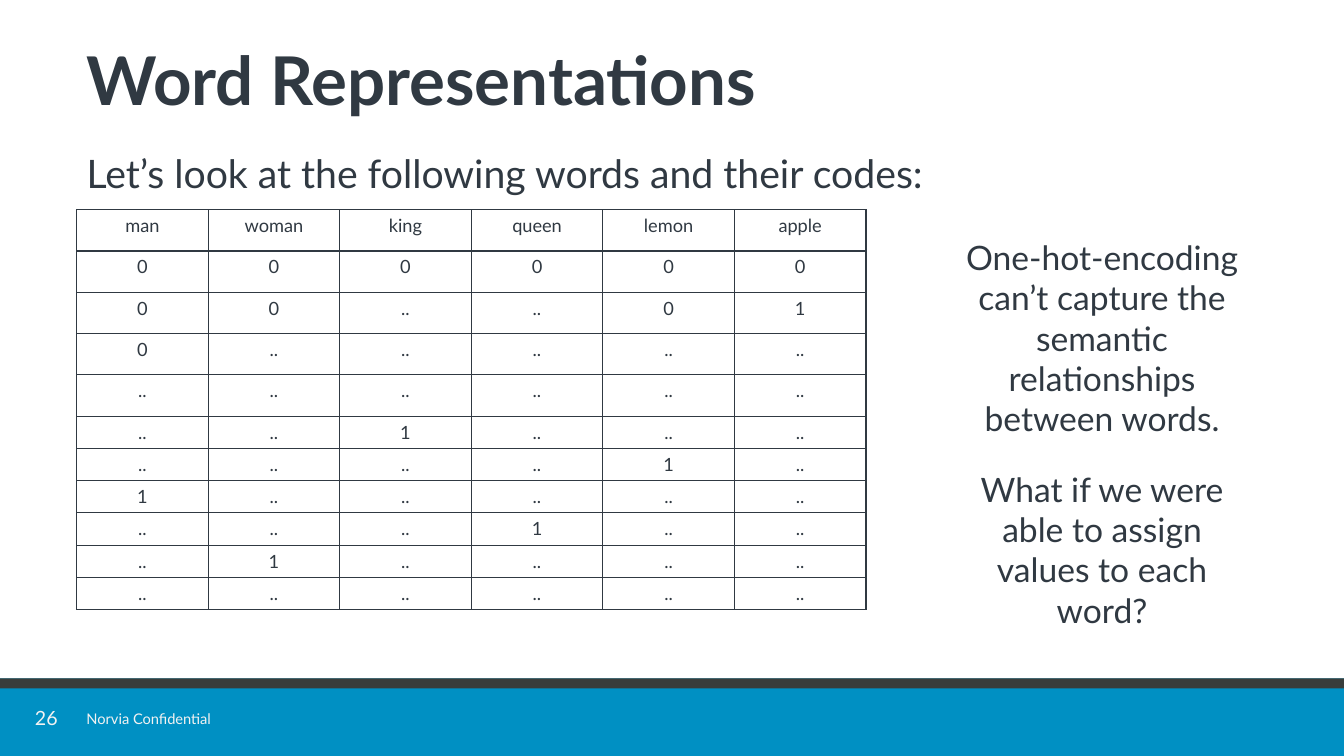
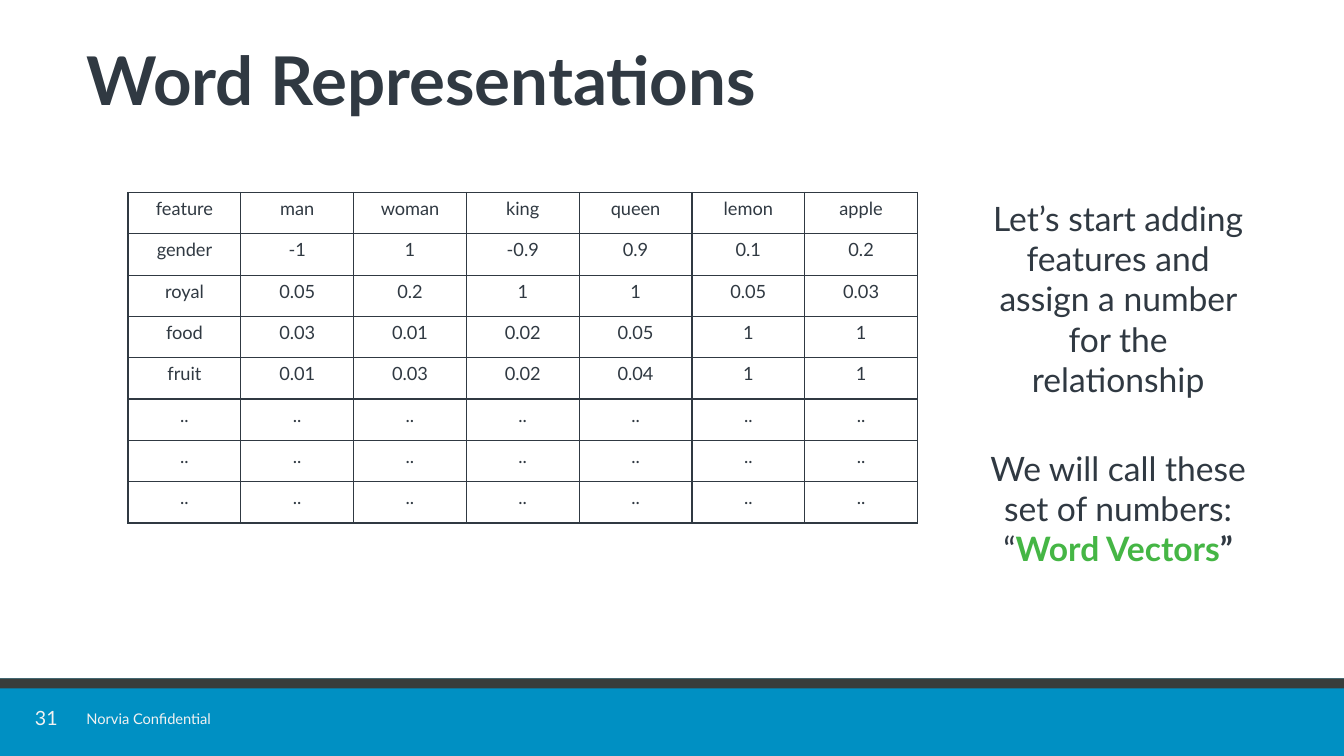
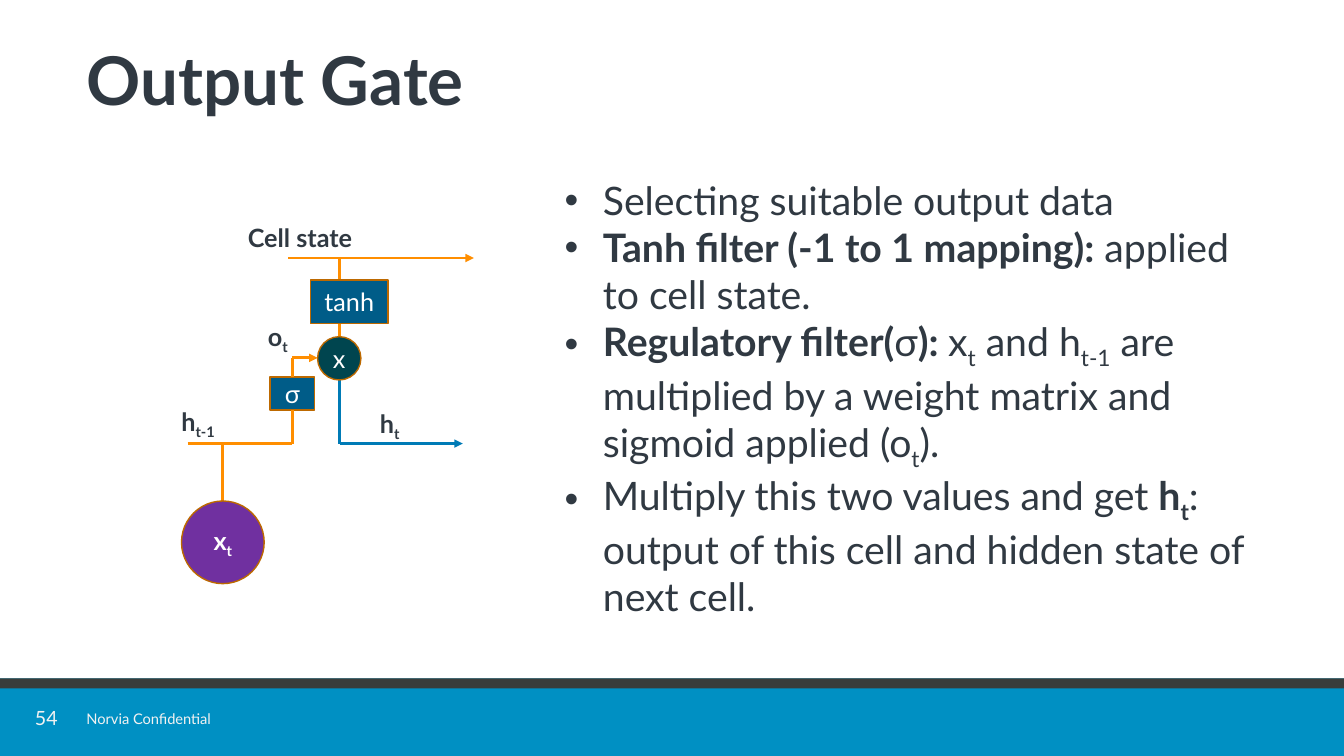
from pptx import Presentation
from pptx.dml.color import RGBColor
from pptx.enum.shapes import MSO_CONNECTOR, MSO_SHAPE
from pptx.enum.text import MSO_ANCHOR, MSO_AUTO_SIZE, PP_ALIGN
from pptx.oxml.ns import qn
from pptx.util import Inches, Pt
from lxml.etree import SubElement

COLOURS = {
    "ink": "303942", "band": "0090C3", "rule": "383D3B", "footer": "F2F2F2",
    "white": "FFFFFF", "green": "45B645", "orange": "FF8E00", "blue": "007BB6",
    "outline": "BD6900", "box": "005C88", "gate": "00454F", "input": "7030A0",
}
FONT = "Lato"
SLIDE_WIDTH = 13.33
TITLE_ONLY, TITLE_AND_BODY = 5, 1
TALL_ROW, SHORT_ROW = 0.41, 0.32
TABLE_WIDTH = 7.83
CENTER = PP_ALIGN.CENTER

ONE_HOT_ROWS = [
    "man woman king queen lemon apple",
    "0 0 0 0 0 0",
    "0 0 .. .. 0 1",
    "0 .. .. .. .. ..",
    ".. .. .. .. .. ..",
    ".. .. 1 .. .. ..",
    ".. .. .. .. 1 ..",
    "1 .. .. .. .. ..",
    ".. .. .. 1 .. ..",
    ".. 1 .. .. .. ..",
    ".. .. .. .. .. ..",
]
FEATURE_ROWS = [
    "feature man woman king queen lemon apple",
    "gender -1 1 -0.9 0.9 0.1 0.2",
    "royal 0.05 0.2 1 1 0.05 0.03",
    "food 0.03 0.01 0.02 0.05 1 1",
    "fruit 0.01 0.03 0.02 0.04 1 1",
] + [".. .. .. .. .. .. .."] * 3
GATE_POINTS = [
    [("Selecting suitable output data", "")],
    [("Tanh filter (-1 to 1 mapping):", "bold"), (" applied to cell state.", "")],
    [("Regulatory filter(", "bold"), ("σ", ""), ("): ", "bold"), ("x", ""),
     ("t", "sub"), (" and h", ""), ("t-1", "sub"),
     (" are multiplied by a weight matrix and sigmoid applied (o", ""),
     ("t", "sub"), (").", "")],
    [("Multiply this two values and get ", ""), ("h", "bold"), ("t", "bold sub"),
     (": output of this cell and hidden state of next cell.", "")],
]


def rgb(name):
    return RGBColor.from_string(COLOURS[name])


def write(para, spans, size, colour="ink", align=None):
    """Fill a paragraph with (text, style) pairs; style words: bold, sub, green."""
    para.alignment = align
    para.space_before = para.space_after = Pt(0)
    for text, style in spans:
        span = para.add_run()
        span.text = text
        font = span.font
        font.name, font.size, font.bold = FONT, Pt(size), "bold" in style
        font.color.rgb = rgb("green" if "green" in style else colour)
        if "sub" in style:
            span._r.get_or_add_rPr().set("baseline", "-25000")


def place(shape, left, top, width, height):
    shape.left, shape.top = Inches(left), Inches(top)
    shape.width, shape.height = Inches(width), Inches(height)


def indent(para, left, first):
    properties = para._p.get_or_add_pPr()
    properties.set("marL", str(Inches(left)))
    properties.set("indent", str(Inches(first)))
    return properties


def add_text(slide, place_at, paragraphs, size, colour="ink", align=None, wrap=True):
    box = slide.shapes.add_textbox(*map(Inches, place_at))
    frame = box.text_frame
    frame.word_wrap = wrap
    for index, spans in enumerate(paragraphs):
        para = frame.add_paragraph() if index else frame.paragraphs[0]
        write(para, spans, size, colour, align)
    return box


def add_node(slide, kind, place_at, fill, spans=(), line="outline"):
    node = slide.shapes.add_shape(kind, *map(Inches, place_at))
    node.shadow.inherit = False
    node.fill.solid()
    node.fill.fore_color.rgb = rgb(fill)
    if line:
        node.line.color.rgb = rgb(line)
        node.line.width = Pt(1)
    else:
        node.line.fill.background()
    frame = node.text_frame
    frame.margin_left = frame.margin_right = 0
    frame.vertical_anchor = MSO_ANCHOR.MIDDLE
    write(frame.paragraphs[0], spans, 18, "white", CENTER)
    return node


def add_line(slide, start, end, colour="orange", arrow=False):
    line = slide.shapes.add_connector(
        MSO_CONNECTOR.STRAIGHT, *map(Inches, (*start, *end)))
    line.line.color.rgb = rgb(colour)
    line.line.width = Pt(2)
    if arrow:
        SubElement(line.line._get_or_add_ln(), qn("a:tailEnd"), type="triangle")
    SubElement(line.element.spPr, qn("a:effectLst"))
    return line


def set_borders(cell):
    properties = cell._tc.get_or_add_tcPr()
    for side in ("lnL", "lnR", "lnT", "lnB"):
        border = SubElement(properties, qn(f"a:{side}"), w=str(Pt(1)))
        fill = SubElement(border, qn("a:solidFill"))
        SubElement(fill, qn("a:srgbClr"), val=COLOURS["ink"])


def add_grid(slide, left, top, rows, heights):
    cells = [row.split() for row in rows]
    columns = len(cells[0])
    table = slide.shapes.add_table(
        len(cells), columns, Inches(left), Inches(top),
        Inches(TABLE_WIDTH), Inches(sum(heights))).table
    table.first_row = table.horz_banding = False
    for column in table.columns:
        column.width = Inches(TABLE_WIDTH) // columns
    for row, texts, height in zip(table.rows, cells, heights):
        row.height = Inches(height)
        for cell, text in zip(row.cells, texts):
            set_borders(cell)
            cell.fill.background()
            write(cell.text_frame.paragraphs[0], [(text, "")], 13, align=CENTER)


def add_slide(deck, layout, title, number):
    slide = deck.slides.add_slide(deck.slide_layouts[layout])
    heading = slide.shapes.title
    place(heading, 0.76, 0.32, 11.91, 1.08)
    frame = heading.text_frame
    frame.auto_size = MSO_AUTO_SIZE.NONE
    frame.vertical_anchor = MSO_ANCHOR.MIDDLE
    para = frame.paragraphs[0]
    write(para, [(title, "bold")], 48, align=PP_ALIGN.LEFT)
    para.line_spacing = 0.8
    page = add_text(slide, (0.33, 7.02, 0.26, 0.23), [[(number, "")]], 14,
                    "footer", CENTER, wrap=False).text_frame
    page.margin_left = page.margin_right = page.margin_top = page.margin_bottom = 0
    page.vertical_anchor = MSO_ANCHOR.MIDDLE
    page.paragraphs[0].line_spacing = 0.9
    return slide


def move_footer_to_master(deck, slide):
    """Draw the footer on a slide, then hand it to the master for all slides."""
    parts = [
        add_node(slide, MSO_SHAPE.RECTANGLE, (0, 6.73, SLIDE_WIDTH, 0.77), "band", line=None),
        add_node(slide, MSO_SHAPE.RECTANGLE, (0, 6.73, SLIDE_WIDTH, 0.1), "rule", line=None),
        add_text(slide, (0.76, 6.99, 1.6, 0.28), [[("Norvia Confidential", "")]],
                 10.5, "footer", wrap=False),
    ]
    for number, part in enumerate(parts, start=20):
        part.element.nvSpPr.cNvPr.id = number
        deck.slide_master.shapes.element.append(part.element)


def fill_body(slide, place_at, paragraphs, bullets):
    body = slide.placeholders[1]
    place(body, *place_at)
    frame = body.text_frame
    frame.auto_size = MSO_AUTO_SIZE.NONE
    for index, spans in enumerate(paragraphs):
        para = frame.add_paragraph() if index else frame.paragraphs[0]
        write(para, spans, 28)
        if bullets:
            indent(para, 0.38, -0.38)
        else:
            SubElement(indent(para, 0, 0), qn("a:buNone"))


def add_aside(slide, left, top, height, *paragraphs):
    add_text(slide, (left, top, 2.92, height), paragraphs, 24, align=CENTER)


def build_one_hot(deck):
    slide = add_slide(deck, TITLE_AND_BODY, "Word Representations", "26")
    move_footer_to_master(deck, slide)
    fill_body(slide, (0.76, 1.43, 11.9, 5.03),
              [[("Let’s look at the following words and their codes:", "")]], bullets=False)
    add_grid(slide, 0.76, 2.08, ONE_HOT_ROWS, [TALL_ROW] * 5 + [SHORT_ROW] * 6)
    add_aside(slide, 9.47, 2.3, 2.12, [
        ("One-hot-encoding can’t capture the semantic relationships between words.", "")])
    add_aside(slide, 9.47, 4.6, 1.72, [
        ("What if we were able to assign values to each word?", "")])


def build_features(deck):
    slide = add_slide(deck, TITLE_ONLY, "Word Representations", "31")
    add_grid(slide, 1.27, 1.91, FEATURE_ROWS, [TALL_ROW] * len(FEATURE_ROWS))
    add_aside(slide, 9.63, 1.91, 2.12, [
        ("Let’s start adding features and assign a number for the relationship", "")])
    add_aside(slide, 9.63, 4.39, 1.31,
              [("We will call these set of numbers:", "")],
              [("“", ""), ("Word Vectors", "bold green"), ("”", "bold")])


def draw_gate(slide):
    sigma_x, output_x, input_x = 2.9, 3.37, 2.21
    state_y, gate_y, hidden_y = 2.56, 3.55, 4.4
    sigma = add_node(slide, MSO_SHAPE.RECTANGLE, (2.68, 3.74, 0.44, 0.33),
                     "box", [("σ", "")])
    add_line(slide, (sigma_x, hidden_y), (sigma_x, 4.07)).end_connect(sigma, 2)
    add_line(slide, (sigma_x, 3.74), (sigma_x, gate_y)).begin_connect(sigma, 0)
    add_line(slide, (sigma_x, gate_y), (3.15, gate_y), arrow=True)
    add_line(slide, (output_x, hidden_y), (output_x, 3.75), "blue")
    add_line(slide, (output_x, 3.36), (output_x, state_y))
    add_line(slide, (output_x, hidden_y), (4.59, hidden_y), "blue", arrow=True)
    add_line(slide, (1.86, hidden_y), (sigma_x, hidden_y))
    add_line(slide, (2.86, state_y), (4.7, state_y), arrow=True)
    add_line(slide, (input_x, 4.97), (input_x, hidden_y))
    add_node(slide, MSO_SHAPE.OVAL, (3.15, 3.34, 0.43, 0.43), "gate", [("x", "")])
    add_node(slide, MSO_SHAPE.RECTANGLE, (3.08, 2.78, 0.77, 0.43), "box", [("tanh", "")])
    add_node(slide, MSO_SHAPE.OVAL, (1.8, 4.97, 0.82, 0.82), "input",
             [("x", "bold"), ("t", "bold sub")])
    for left, top, width, name, subscript in (
            (3.67, 4, 0.67, "h", "t"), (1.7, 3.98, 0.71, "h", "t-1"),
            (2.56, 3.14, 0.67, "o", "t")):
        add_text(slide, (left, top, width, 0.4),
                 [[(name, "bold"), (subscript, "bold sub")]], 18)
    add_text(slide, (2.36, 2.16, 1.62, 0.4), [[("Cell state", "bold")]], 18)


def build_output_gate(deck):
    slide = add_slide(deck, TITLE_AND_BODY, "Output Gate", "54")
    draw_gate(slide)
    fill_body(slide, (5.5, 1.7, 7.14, 4.34), GATE_POINTS, bullets=True)


def main():
    deck = Presentation()
    deck.slide_width, deck.slide_height = Inches(SLIDE_WIDTH), Inches(7.5)
    build_one_hot(deck)
    build_features(deck)
    build_output_gate(deck)
    deck.save("out.pptx")


if __name__ == "__main__":
    main()
